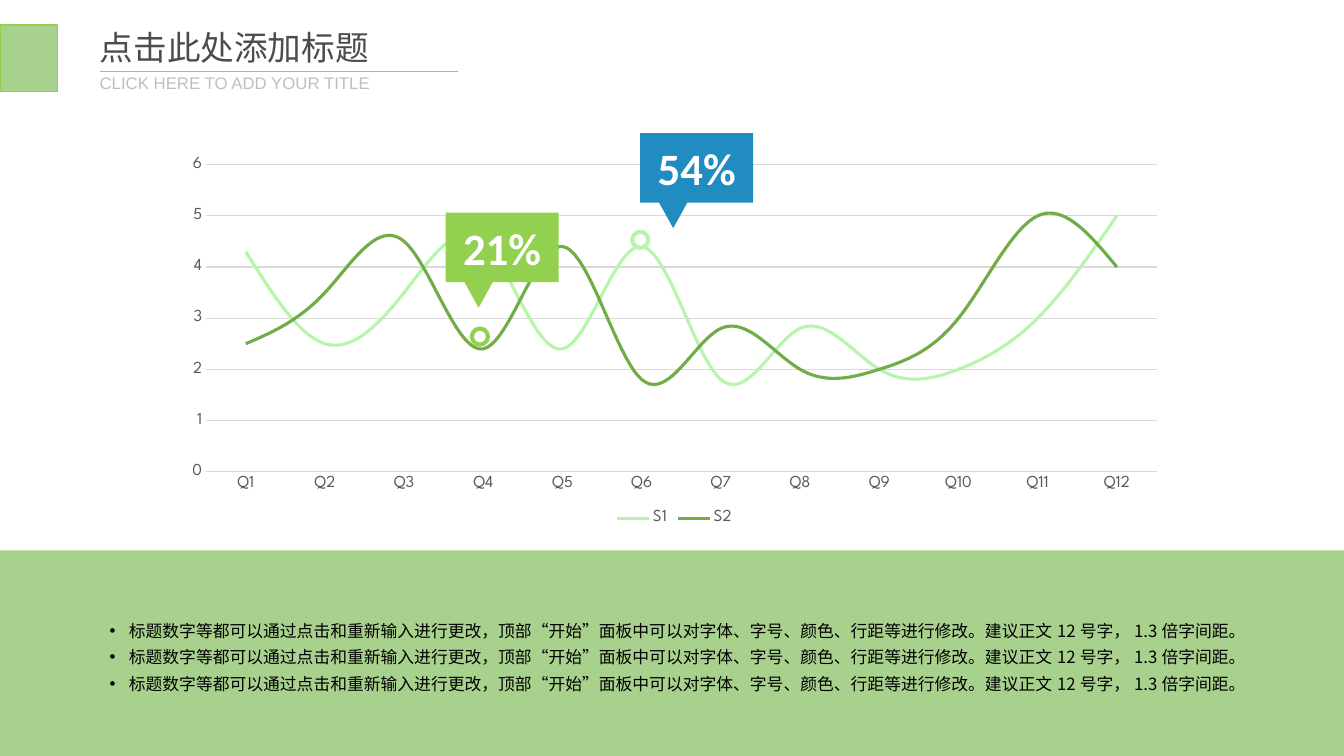
from lxml.etree import SubElement
from pptx import Presentation
from pptx.chart.data import CategoryChartData
from pptx.dml.color import RGBColor
from pptx.enum.chart import XL_CHART_TYPE, XL_LEGEND_POSITION, XL_TICK_MARK
from pptx.enum.shapes import MSO_CONNECTOR, MSO_SHAPE
from pptx.enum.text import MSO_ANCHOR, MSO_AUTO_SIZE, PP_ALIGN
from pptx.oxml.ns import qn
from pptx.util import Inches, Pt

W, H = 13.33, 7.5
COLORS = {"band": "A9D18E", "lime": "92D050", "blue": "218CC2", "mint": "B7F5AD",
          "green": "70AD47", "white": "FFFFFF", "title": "4C4C4C", "subtitle": "BFBFBF",
          "rule": "B0B0B0", "axis": "595959", "grid": "D9D9D9", "black": "000000"}
CJK, CHART_FONT = "Noto Sans CJK SC", "League Spartan"

TITLE = "点击此处添加标题"
SUBTITLE = "CLICK HERE TO ADD YOUR TITLE"
BULLETS = ["标题数字等都可以通过点击和重新输入进行更改,顶部“开始”面板中可以对字体、字号、颜色、"
           "行距等进行修改。建议正文12号字,1.3倍字间距。".replace(",", "\uff0c")] * 3
QUARTERS = [f"Q{n}" for n in range(1, 13)]
SERIES = [("S1", "mint", [4.3, 2.5, 3.5, 4.5, 2.4, 4.4, 1.8, 2.8, 2, 2, 3, 5]),
          ("S2", "green", [2.5, 3.5, 4.5, 2.4, 4.4, 1.8, 2.8, 2, 2, 3, 5, 4])]
# text, callout fill, callout corner, ring colour, ring corner
MARKERS = [("54%", "blue", (6.35, 1.32), "mint", (6.27, 2.3)),
           ("21%", "lime", (4.42, 2.11), "lime", (4.68, 3.26))]
CALLOUT, RING = (1.12, 0.69), 0.16


def rgb(name):
    """Return the named colour."""
    return RGBColor.from_string(COLORS[name])


def box(x, y, w, h):
    """Return a position and size in inches as lengths."""
    return [Inches(v) for v in (x, y, w, h)]


def style(font, size, color, name):
    """Set size, colour and typeface of a font."""
    font.size, font.name = Pt(size), name
    font.color.rgb = rgb(color)


def add_run(p, text, size, color, name, bold=False):
    """Add one formatted run, with an East Asian typeface."""
    r = p.add_run()
    r.text = text
    style(r.font, size, color, name)
    r.font.bold = bold
    SubElement(r._r.get_or_add_rPr(), qn("a:ea"), typeface=CJK)


def add_shape(kind, area, fill, line=None, width=1):
    """Add a flat preset shape."""
    sp = s.shapes.add_shape(kind, *box(*area))
    sp.shadow.inherit = False
    sp.fill.solid()
    sp.fill.fore_color.rgb = rgb(fill)
    if line:
        sp.line.color.rgb = rgb(line)
        sp.line.width = Pt(width)
    else:
        sp.line.fill.background()
    return sp


def add_chart():
    """Add the smooth two-series line chart."""
    data = CategoryChartData()
    data.categories = QUARTERS
    for name, _, values in SERIES:
        data.add_series(name, values)
    chart = s.shapes.add_chart(XL_CHART_TYPE.LINE, *box(1.71, 1.48, 9.96, 3.78), data).chart
    style(chart.font, 10, "black", CHART_FONT)
    chart.has_title = False
    chart.has_legend = True
    chart.legend.position = XL_LEGEND_POSITION.BOTTOM
    chart.legend.include_in_layout = False
    style(chart.legend.font, 12, "axis", CHART_FONT)
    for axis in (chart.category_axis, chart.value_axis):
        axis.major_tick_mark = axis.minor_tick_mark = XL_TICK_MARK.NONE
        style(axis.tick_labels.font, 12, "axis", CHART_FONT)
    values = chart.value_axis
    values.minimum_scale, values.maximum_scale, values.major_unit = 0, 6, 1
    values.format.line.fill.background()
    for line in (chart.category_axis.format.line, values.major_gridlines.format.line):
        line.color.rgb = rgb("grid")
        line.width = Pt(0.75)
    chart.plots[0].vary_by_categories = False
    for series, (_, color, _) in zip(chart.plots[0].series, SERIES):
        series.smooth = True
        series.format.line.color.rgb = rgb(color)
        series.format.line.width = Pt(2.25)


def add_marker(text, fill, corner, ring, ring_corner):
    """Add a percentage callout and the ring it points at."""
    add_shape(MSO_SHAPE.OVAL, (*ring_corner, RING, RING), "white", ring, 3)
    sp = add_shape(MSO_SHAPE.RECTANGULAR_CALLOUT, (*corner, *CALLOUT), fill)
    sp.adjustments[0], sp.adjustments[1] = -0.208, 0.867
    tf = sp.text_frame
    tf.vertical_anchor = MSO_ANCHOR.MIDDLE
    p = tf.paragraphs[0]
    p.alignment = PP_ALIGN.CENTER
    add_run(p, text, 32, "white", "Calibri", True)


def add_heading():
    """Place the title, its rule and the subtitle beside a green tab."""
    add_shape(MSO_SHAPE.RECTANGLE, (0, 0.25, 0.57, 0.66), "band", "lime")
    title = s.shapes.title
    title.left, title.top, title.width, title.height = box(0.89, 0.22, 2.89, 0.5)
    tf = title.text_frame
    tf.word_wrap, tf.auto_size = False, MSO_AUTO_SIZE.NONE
    tf.vertical_anchor = MSO_ANCHOR.TOP
    tf.paragraphs[0].alignment = PP_ALIGN.LEFT
    add_run(tf.paragraphs[0], TITLE, 24, "title", "Arial")
    tf = s.shapes.add_textbox(*box(0.89, 0.67, 4.2, 0.3)).text_frame
    tf.word_wrap = True
    add_run(tf.paragraphs[0], SUBTITLE, 12, "subtitle", "Arial")
    ends = [Inches(v) for v in (0.99, 0.71, 4.54, 0.71)]
    rule = s.shapes.add_connector(MSO_CONNECTOR.STRAIGHT, *ends)
    rule.line.color.rgb = rgb("rule")
    rule.line.width = Pt(0.5)
    SubElement(rule._element.spPr, qn("a:effectLst"))


def add_notes_band():
    """Add the bottom band with its bulleted text."""
    top = 5.46
    add_shape(MSO_SHAPE.RECTANGLE, (0, top, W, H - top), "band")
    tf = s.shapes.add_textbox(*box(0.99, 6.05, 11.57, 0.89)).text_frame
    tf.word_wrap = True
    for i, text in enumerate(BULLETS):
        p = tf.add_paragraph() if i else tf.paragraphs[0]
        p.line_spacing = 1.3
        pPr = p._p.get_or_add_pPr()
        indent = Inches(0.19)
        pPr.set("marL", str(indent))
        pPr.set("indent", str(-indent))
        SubElement(pPr, qn("a:buFont"), typeface="Arial")
        SubElement(pPr, qn("a:buChar"), char="•")
        add_run(p, text, 12, "black", CJK)


prs = Presentation()
prs.slide_width, prs.slide_height = Inches(W), Inches(H)
s = prs.slides.add_slide(prs.slide_layouts[5])
add_chart()
for marker in MARKERS:
    add_marker(*marker)
add_heading()
add_notes_band()
prs.save("out.pptx")
